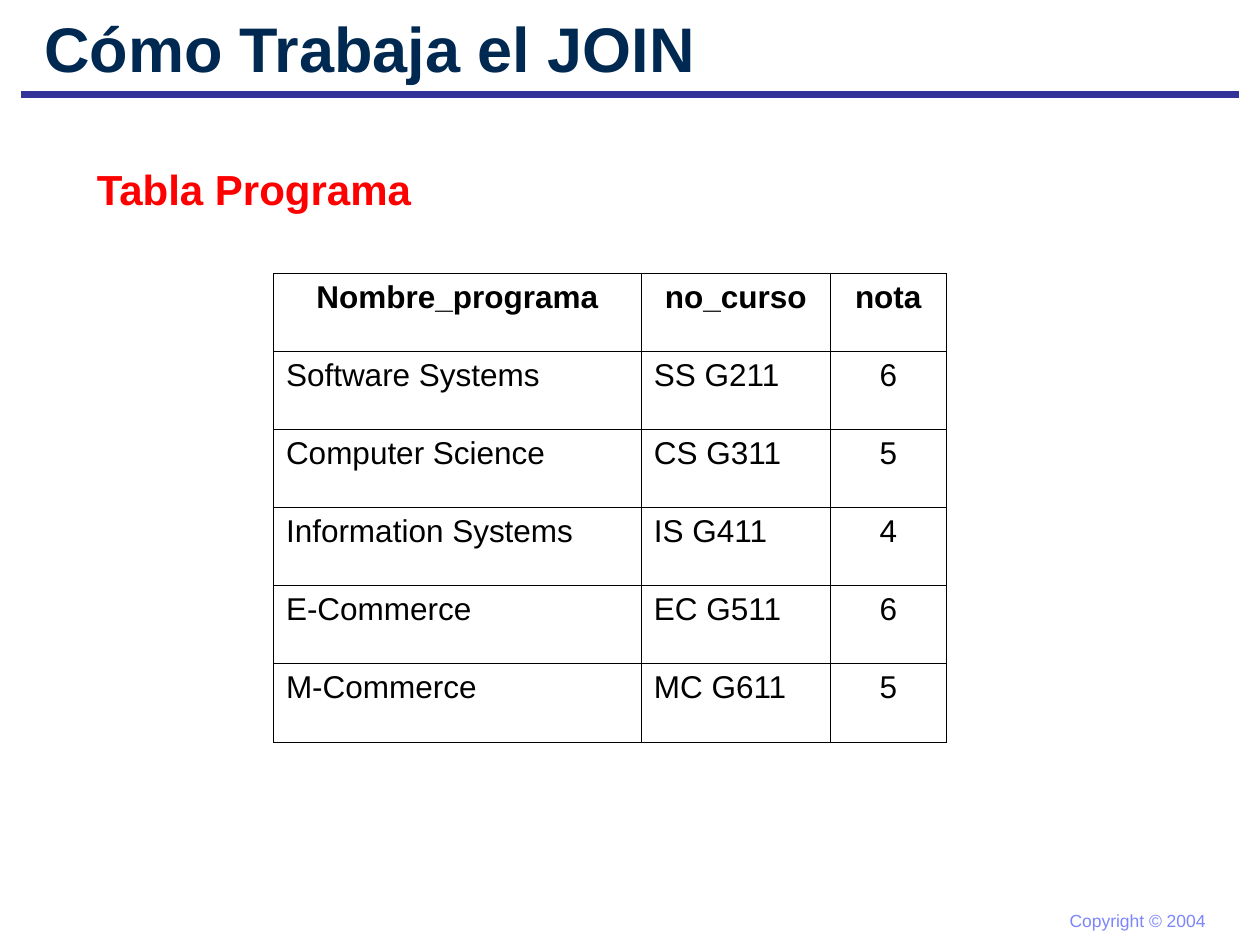
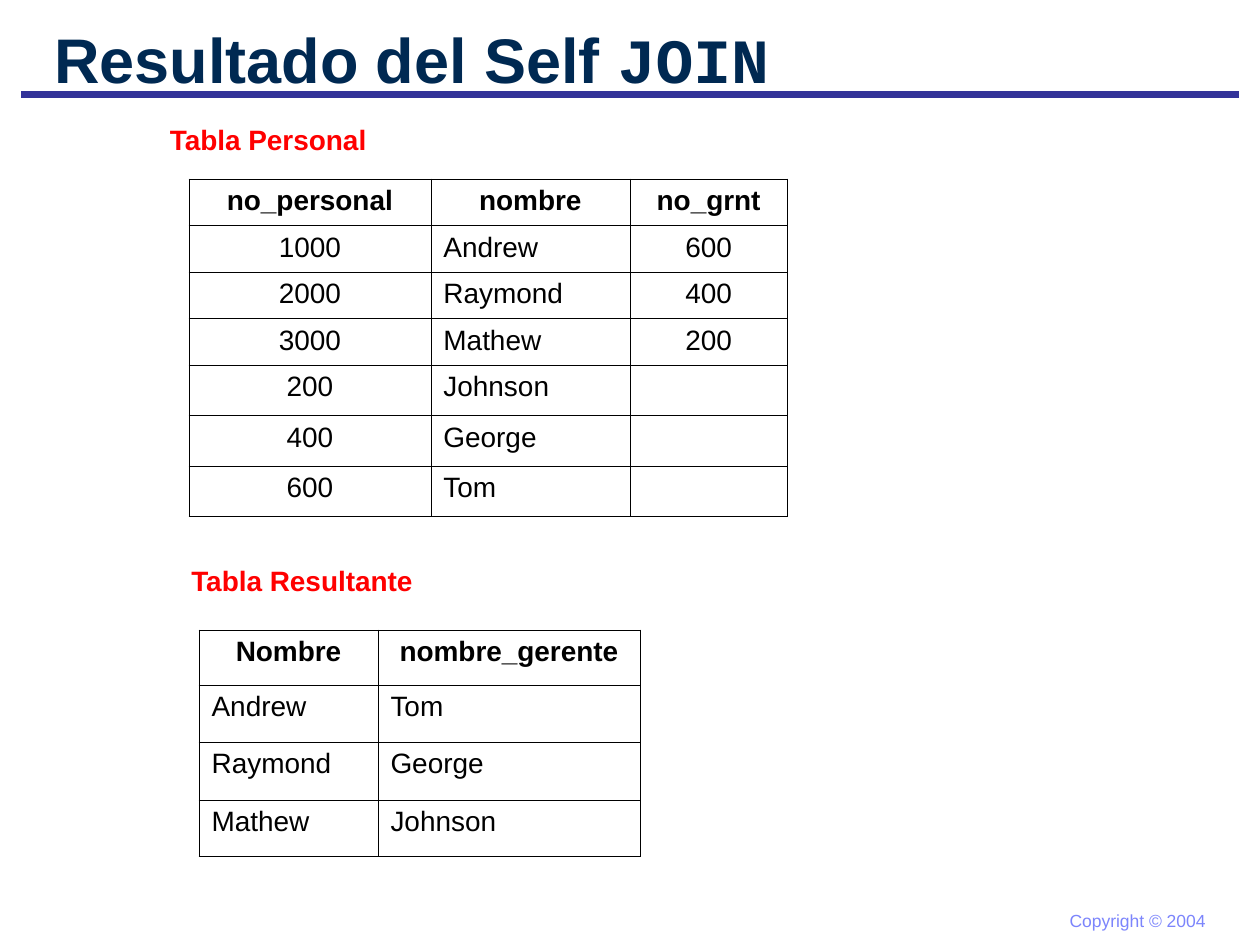
import lxml.etree
import pptx
import pptx.dml.color
import pptx.enum.shapes
import pptx.enum.text
import pptx.oxml.ns
import pptx.util

Inches = pptx.util.Inches
Points = pptx.util.Pt
Alignment = pptx.enum.text.PP_ALIGN


def color(hex_value):
    return pptx.dml.color.RGBColor.from_string(hex_value)


def write_text(paragraph, text, size=16, font="Arial", fill="000000",
               bold=False, align=Alignment.LEFT):
    paragraph.alignment = align
    run = paragraph.add_run()
    run.text = text
    run.font.size = Points(size)
    run.font.name = font
    run.font.bold = bold
    run.font.color.rgb = color(fill)


def add_element(parent, tag, **attributes):
    return lxml.etree.SubElement(parent, pptx.oxml.ns.qn(tag), **attributes)


class Deck:
    title_color = "002952"
    rule_color = "333399"
    heading_color = "FF0000"
    footer_color = "7C85FC"
    border_color = "000000"
    border_width = Points(0.45)
    title_only_layout = 5

    def __init__(self):
        self.presentation = pptx.Presentation()
        self.presentation.slide_width = Inches(10)
        self.presentation.slide_height = Inches(7.5)
        self.slide = None

    def new_slide(self):
        layout = self.presentation.slide_layouts[self.title_only_layout]
        self.slide = self.presentation.slides.add_slide(layout)
        self.rule()
        self.label("Copyright © 2004", 8.39, 7.17, 1.28, 0.27,
                   size=10, fill=self.footer_color)

    def rule(self):
        connector = self.slide.shapes.add_connector(
            pptx.enum.shapes.MSO_CONNECTOR.STRAIGHT,
            Inches(0.17), Inches(0.75), Inches(9.83), Inches(0.75))
        connector.line.color.rgb = color(self.rule_color)
        connector.line.width = Points(4.5)
        add_element(connector._element.spPr, "a:effectLst")

    def title(self, text, left, top, width, height, code=""):
        shape = self.slide.shapes.title
        shape.left, shape.top = Inches(left), Inches(top)
        shape.width, shape.height = Inches(width), Inches(height)
        frame = shape.text_frame
        frame.auto_size = pptx.enum.text.MSO_AUTO_SIZE.NONE
        frame.vertical_anchor = pptx.enum.text.MSO_ANCHOR.MIDDLE
        style = {"size": 36, "fill": self.title_color, "bold": True}
        write_text(frame.paragraphs[0], text, **style)
        if code:
            write_text(frame.paragraphs[0], code, font="Courier New", **style)

    def label(self, text, left, top, width, height, **text_format):
        shape = self.slide.shapes.add_textbox(
            Inches(left), Inches(top), Inches(width), Inches(height))
        frame = shape.text_frame
        frame.word_wrap = False
        frame.auto_size = pptx.enum.text.MSO_AUTO_SIZE.SHAPE_TO_FIT_TEXT
        write_text(frame.paragraphs[0], text, **text_format)

    def heading(self, text, left, top, width, height, size=16):
        self.label(text, left, top, width, height,
                   size=size, fill=self.heading_color, bold=True)

    def border(self, cell):
        properties = cell._tc.get_or_add_tcPr()
        for side in ("a:lnL", "a:lnR", "a:lnT", "a:lnB"):
            line = add_element(properties, side, w=str(self.border_width))
            fill = add_element(line, "a:solidFill")
            add_element(fill, "a:srgbClr", val=self.border_color)

    def table(self, rows, left, top, widths, heights, centered=(), size=16):
        table = self.slide.shapes.add_table(
            len(rows), len(widths), Inches(left), Inches(top),
            Inches(sum(widths)), Inches(sum(heights))).table
        table.first_row = False
        table.horz_banding = False
        for column, width in zip(table.columns, widths):
            column.width = Inches(width)
        for row, height in zip(table.rows, heights):
            row.height = Inches(height)
        for row_index, values in enumerate(rows):
            header = row_index == 0
            for column_index, value in enumerate(values):
                cell = table.cell(row_index, column_index)
                self.border(cell)
                cell.fill.background()
                if value:
                    middle = header or column_index in centered
                    write_text(cell.text_frame.paragraphs[0], value,
                               size=size, bold=header,
                               align=Alignment.CENTER if middle else Alignment.LEFT)


def add_join_slide(deck):
    programs = [
        ("Nombre_programa", "no_curso", "nota"),
        ("Software Systems", "SS G211", "6"),
        ("Computer Science", "CS G311", "5"),
        ("Information Systems", "IS G411", "4"),
        ("E-Commerce", "EC G511", "6"),
        ("M-Commerce", "MC G611", "5"),
    ]
    deck.new_slide()
    deck.title("Cómo Trabaja el JOIN", 0.25, 0, 8.5, 0.75)
    deck.heading("Tabla Programa", 0.67, 1.25, 2.72, 0.5, size=24)
    deck.table(programs, 2.17, 2.17, [2.92, 1.5, 0.92],
               [0.62] * len(programs), centered=(2,), size=18)


def add_self_join_slide(deck):
    staff = [
        ("no_personal", "nombre", "no_grnt"),
        ("1000", "Andrew", "600"),
        ("2000", "Raymond", "400"),
        ("3000", "Mathew", "200"),
        ("200", "Johnson", ""),
        ("400", "George", ""),
        ("600", "Tom", ""),
    ]
    managers = [
        ("Nombre", "nombre_gerente"),
        ("Andrew", "Tom"),
        ("Raymond", "George"),
        ("Mathew", "Johnson"),
    ]
    deck.new_slide()
    deck.title("Resultado del Self ", 0.33, 0.25, 8.5, 0.42, code="JOIN")
    deck.heading("Tabla Personal", 1.25, 0.92, 1.77, 0.37)
    deck.table(staff, 1.5, 1.42, [1.92, 1.58, 1.25],
               [0.37] * 4 + [0.4] * 3, centered=(0, 2))
    deck.heading("Tabla Resultante", 1.42, 4.42, 1.97, 0.37)
    deck.table(managers, 1.58, 5, [1.42, 2.08], [0.44, 0.45, 0.46, 0.45])


def main():
    deck = Deck()
    add_join_slide(deck)
    add_self_join_slide(deck)
    deck.presentation.save("out.pptx")


if __name__ == "__main__":
    main()
